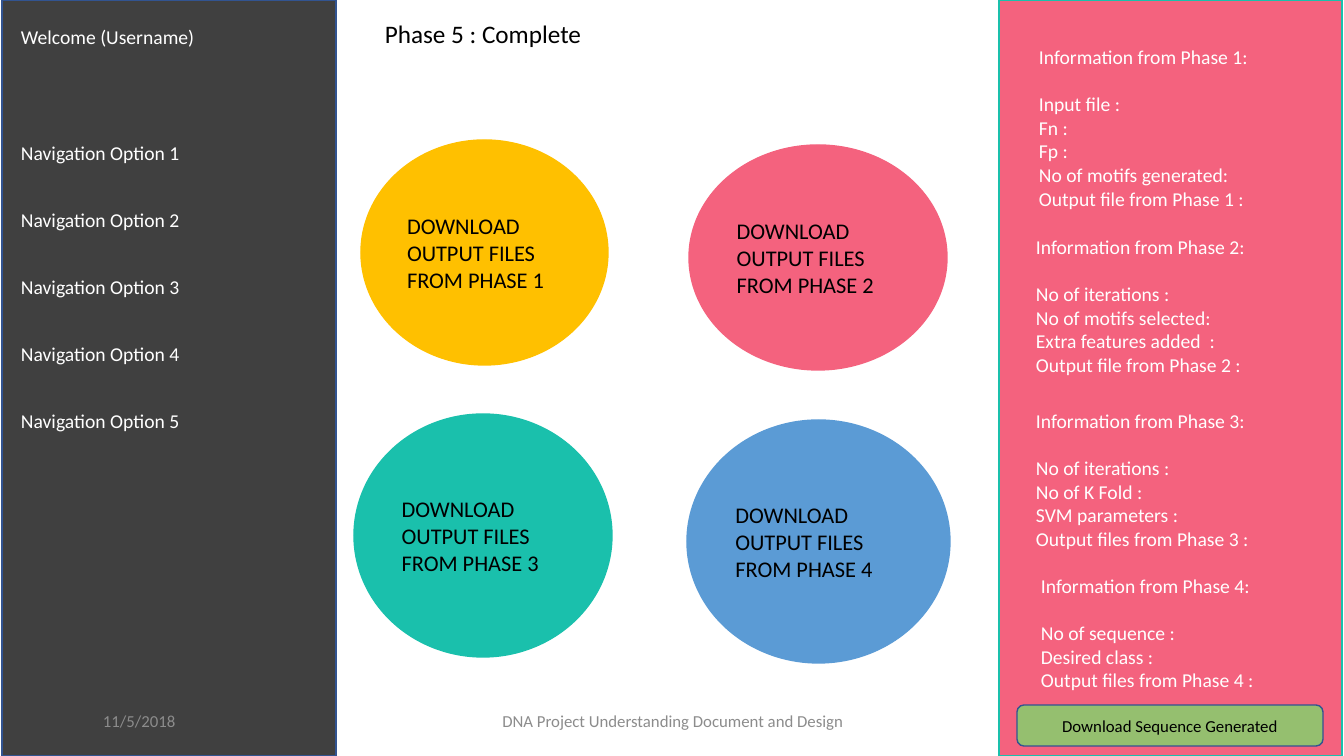
from pptx import Presentation
from pptx.dml.color import RGBColor
from pptx.enum.shapes import MSO_SHAPE as Shape
from pptx.enum.text import MSO_ANCHOR as Anchor, PP_ALIGN as Align
from pptx.util import Emu, Pt

EMU_PER_PIXEL = 914400 / 100.8

WHITE = RGBColor(0xFF, 0xFF, 0xFF)
BLACK = RGBColor(0x00, 0x00, 0x00)
CHARCOAL = RGBColor(0x40, 0x40, 0x40)
GREY = RGBColor(0x8C, 0x8C, 0x8C)
NAVY = RGBColor(0x32, 0x54, 0x91)
PINK = RGBColor(0xF4, 0x62, 0x7E)
TEAL = RGBColor(0x1A, 0xC0, 0xAC)
AMBER = RGBColor(0xFF, 0xC0, 0x00)
BLUE = RGBColor(0x5B, 0x9B, 0xD5)
GREEN = RGBColor(0x95, 0xBF, 0x6F)


def pixels(*lengths):
    return [Emu(round(length * EMU_PER_PIXEL)) for length in lengths]


class PageBuilder:
    font_name = "Calibri"

    def __init__(self, page):
        self.page = page

    def fill_frame(self, frame, lines, size, color, align, anchor):
        frame.word_wrap = True
        frame.vertical_anchor = anchor
        for index, line in enumerate(lines):
            para = frame.paragraphs[0] if index == 0 else frame.add_paragraph()
            para.text = line
            para.alignment = align
            para.font.name = self.font_name
            para.font.size = Pt(size)
            para.font.color.rgb = color

    def text(self, box, *lines, size=14, color=WHITE, align=Align.LEFT,
             anchor=Anchor.TOP):
        frame = self.page.shapes.add_textbox(*pixels(*box)).text_frame
        self.fill_frame(frame, lines, size, color, align, anchor)
        return frame

    def shape(self, kind, box, fill, line, label=None, size=16,
              align=Align.LEFT):
        shape = self.page.shapes.add_shape(kind, *pixels(*box))
        shape.shadow.inherit = False
        shape.fill.solid()
        shape.fill.fore_color.rgb = fill
        shape.line.color.rgb = line
        shape.line.width = Pt(1)
        if label:
            self.fill_frame(shape.text_frame, [label], size, BLACK, align,
                            Anchor.MIDDLE)

    def info(self, box, phase, *fields):
        frame = self.text(box, f"Information from Phase {phase}:", *fields)
        frame.paragraphs[0].space_after = Pt(17)


deck = Presentation()
deck.slide_width, deck.slide_height = pixels(1344, 756)
builder = PageBuilder(deck.slides.add_slide(deck.slide_layouts[6]))

# Navigation panel
builder.shape(Shape.RECTANGLE, (2, 0, 334, 756), CHARCOAL, NAVY)
builder.text((11, 20, 257, 34), "Welcome (Username)")
for option in range(5):
    builder.text((11, 136 + 67 * option, 225, 34),
                 f"Navigation Option {option + 1}")

# Footer
builder.text((93, 701, 302, 40), "11/5/2018", size=12, color=GREY,
             anchor=Anchor.MIDDLE)
builder.text((446, 701, 454, 40),
             "DNA Project Understanding Document and Design", size=12,
             color=GREY, align=Align.CENTER, anchor=Anchor.MIDDLE)

# Information panel
builder.shape(Shape.RECTANGLE, (999, 0, 343, 756), PINK, TEAL)
builder.info((1029, 40, 262, 176), 1, "Input file :", "Fn :", "Fp :",
             "No of motifs generated:", "Output file from Phase 1 :")
builder.info((1026, 230, 262, 152), 2, "No of iterations :",
             "No of motifs selected:", "Extra features added  :",
             "Output file from Phase 2 :")
builder.info((1026, 404, 262, 152), 3, "No of iterations :",
             "No of K Fold :", "SVM parameters :",
             "Output files from Phase 3 :")
builder.info((1031, 569, 262, 129), 4, "No of sequence :",
             "Desired class :", "Output files from Phase 4 :")
builder.shape(Shape.ROUNDED_RECTANGLE, (1017, 705, 306, 41), GREEN, NAVY,
              "Download Sequence Generated", size=12, align=Align.CENTER)

# Title and download circles
builder.text((375, 13, 419, 40), "Phase 5 : Complete", size=18, color=BLACK)
circles = [
    ((361, 140, 247, 225), AMBER),
    ((689, 145, 258, 225), PINK),
    ((354, 414, 258, 243), TEAL),
    ((687, 420, 263, 243), BLUE),
]
for phase, (box, color) in enumerate(circles, start=1):
    builder.shape(Shape.OVAL, box, color, color,
                  f"DOWNLOAD OUTPUT FILES FROM PHASE {phase}")

deck.save("out.pptx")
